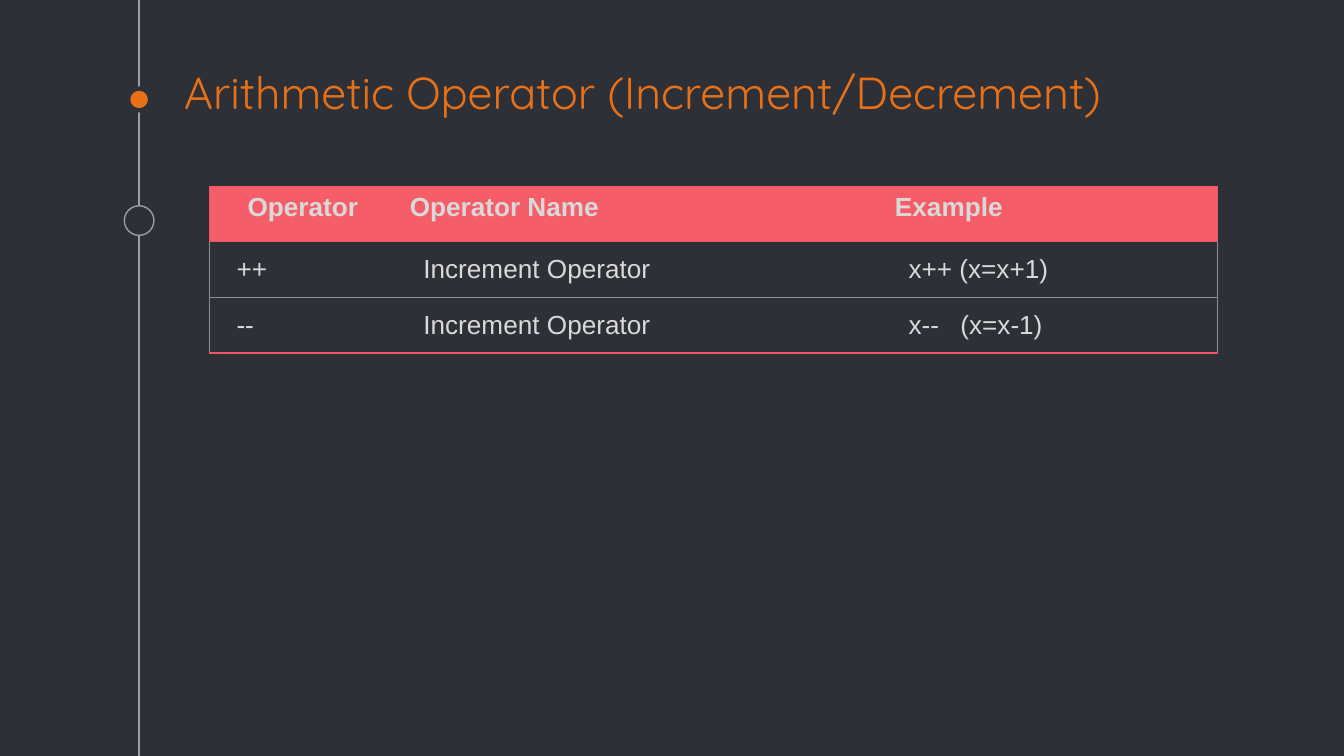
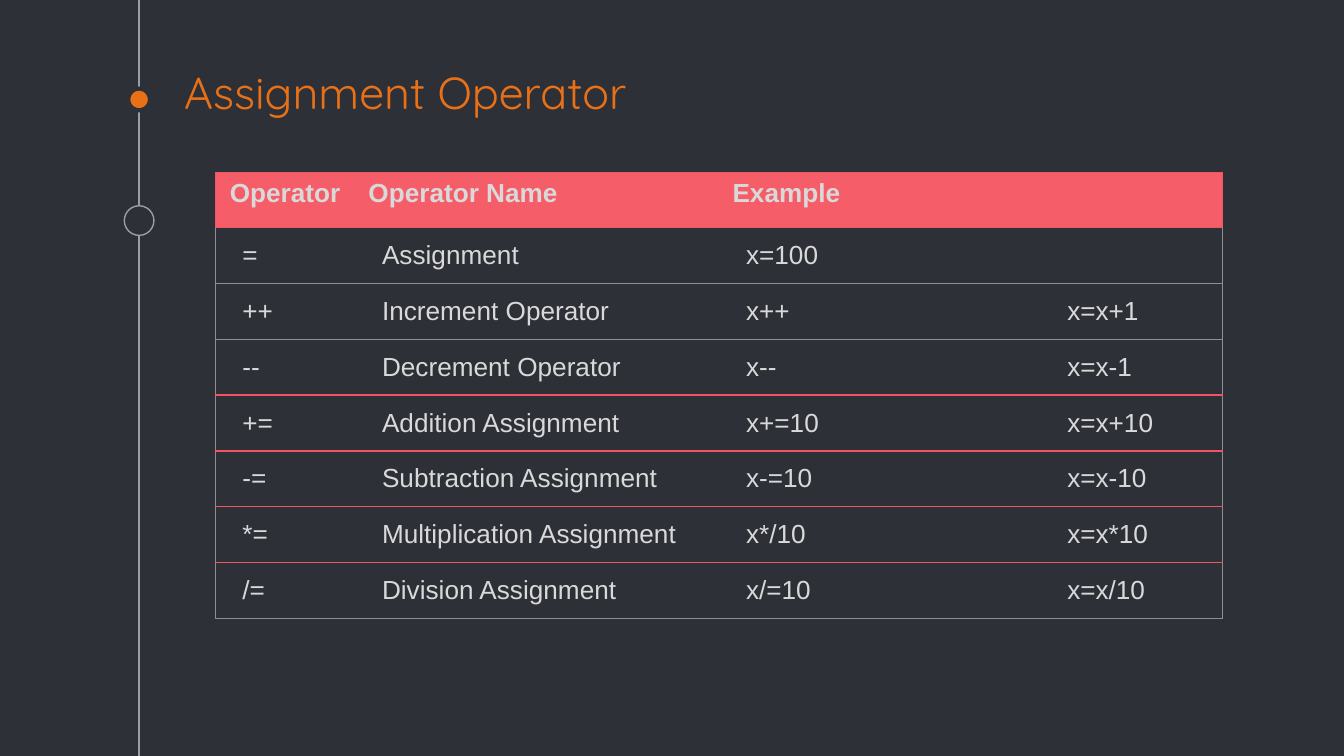
from dataclasses import dataclass

from lxml.etree import SubElement
from pptx import Presentation
from pptx.dml.color import RGBColor
from pptx.enum.shapes import MSO_CONNECTOR, MSO_SHAPE
from pptx.enum.text import MSO_ANCHOR, MSO_AUTO_SIZE, PP_ALIGN
from pptx.oxml import parse_xml
from pptx.oxml.ns import nsdecls, qn
from pptx.util import Cm, Pt

BACKGROUND = "2E3037"
ORANGE = "E87118"
GREY = "999FA9"
RULE_GREY = "8E8E91"
RULE_RED = "F15564"
HEADER_RED = "F55D69"
TEXT = "D9D9D9"

SLIDE_WIDTH, SLIDE_HEIGHT = 25.4, 14.29
TIMELINE_X = 2.63
ROW_HEIGHT = 1.04
RULE_WIDTH = 0.75
PLAIN_TABLE_STYLE = "{2D5ABB26-0587-4C30-8999-92F81FD0307C}"


@dataclass(frozen=True)
class Marker:
    center_y: float
    diameter: float
    fill: str
    line: str
    line_width: float


@dataclass(frozen=True)
class OperatorSlide:
    title: str
    left: float
    top: float
    column_widths: tuple[float, ...]
    rows: tuple[tuple[str, ...], ...]
    grey_rules: frozenset[int]


MARKERS = (
    Marker(1.88, 0.41, ORANGE, BACKGROUND, 2.25),
    Marker(4.17, 0.56, BACKGROUND, GREY, 0.75),
)

OPERATOR_SLIDES = (
    OperatorSlide(
        "Arithmetic Operator (Increment/Decrement)",
        3.96, 3.52, (3.53, 9.17, 6.35),
        (
            ("Operator", "Operator Name", "Example"),
            ("++", "Increment Operator", "x++ (x=x+1)"),
            ("--", "Increment Operator", "x--\t(x=x-1)"),
        ),
        frozenset({1}),
    ),
    OperatorSlide(
        "Assignment Operator",
        4.07, 3.26, (2.64, 6.88, 6.07, 3.45),
        (
            ("Operator", "Operator Name", "Example", ""),
            ("=", "Assignment", "x=100", ""),
            ("++", "Increment Operator", "x++", "x=x+1"),
            ("--", "Decrement Operator", "x--", "x=x-1"),
            ("+=", "Addition Assignment", "x+=10", "x=x+10"),
            ("-=", "Subtraction Assignment", "x-=10", "x=x-10"),
            ("*=", "Multiplication Assignment", "x*/10", "x=x*10"),
            ("/=", "Division Assignment", "x/=10", "x=x/10"),
        ),
        frozenset({1, 2, 7}),
    ),
)


def color(value: str) -> RGBColor:
    return RGBColor.from_string(value)


def add_run(paragraph, text: str, font_name: str, size: float, hex_color: str, bold: bool = False) -> None:
    run = paragraph.add_run()
    run.text = text
    run.font.name = font_name
    run.font.size = Pt(size)
    run.font.bold = bold
    run.font.color.rgb = color(hex_color)


def add_timeline(slide) -> None:
    line = slide.shapes.add_connector(
        MSO_CONNECTOR.STRAIGHT, Cm(TIMELINE_X), Cm(0), Cm(TIMELINE_X), Cm(SLIDE_HEIGHT)
    )
    line.line.color.rgb = color(GREY)
    line.line.width = Pt(0.75)
    SubElement(line._element.spPr, qn("a:effectLst"))
    for marker in MARKERS:
        radius = marker.diameter / 2
        circle = slide.shapes.add_shape(
            MSO_SHAPE.OVAL, Cm(TIMELINE_X - radius), Cm(marker.center_y - radius),
            Cm(marker.diameter), Cm(marker.diameter),
        )
        circle.shadow.inherit = False
        circle.fill.solid()
        circle.fill.fore_color.rgb = color(marker.fill)
        circle.line.color.rgb = color(marker.line)
        circle.line.width = Pt(marker.line_width)


def format_title(slide, text: str) -> None:
    title = slide.shapes.title
    title.left, title.top, title.width, title.height = Cm(3.23), Cm(1.52), Cm(21.97), Cm(0.97)
    frame = title.text_frame
    frame.auto_size = MSO_AUTO_SIZE.NONE
    frame.word_wrap = True
    frame.vertical_anchor = MSO_ANCHOR.BOTTOM
    frame.margin_left = frame.margin_right = frame.margin_top = frame.margin_bottom = Cm(0.25)
    paragraph = frame.paragraphs[0]
    paragraph.alignment = PP_ALIGN.LEFT
    add_run(paragraph, text, "Quicksand", 24, ORANGE)


def set_borders(cell, borders: dict[str, str | None]) -> None:
    properties = cell._tc.get_or_add_tcPr()
    for position, side in enumerate("LRTB"):
        hex_color = borders[side]
        paint = f'<a:solidFill><a:srgbClr val="{hex_color}"/></a:solidFill>' if hex_color else "<a:noFill/>"
        width = Pt(RULE_WIDTH) if hex_color else 0
        properties.insert(
            position, parse_xml(f'<a:ln{side} {nsdecls("a")} w="{width}">{paint}</a:ln{side}>')
        )


def fill_cell(cell, text: str, is_header: bool, is_first: bool) -> None:
    if is_header:
        cell.fill.solid()
        cell.fill.fore_color.rgb = color(HEADER_RED)
    else:
        cell.fill.background()
    if not text:
        return
    paragraph = cell.text_frame.paragraphs[0]
    if is_header:
        paragraph.alignment = PP_ALIGN.CENTER if is_first else PP_ALIGN.LEFT
    else:
        cell.vertical_anchor = MSO_ANCHOR.MIDDLE
        cell.margin_left = cell.margin_right = Cm(0.51)
        cell.margin_top = cell.margin_bottom = Cm(0.25)
    if "\t" in text:
        tabs = SubElement(paragraph._p.get_or_add_pPr(), qn("a:tabLst"))
        SubElement(tabs, qn("a:tab"), pos=str(Cm(0.98)), algn="l")
    add_run(paragraph, text, "Arial", 14, TEXT, bold=is_header)


def add_operator_table(slide, content: OperatorSlide) -> None:
    row_count, column_count = len(content.rows), len(content.column_widths)
    frame = slide.shapes.add_table(
        row_count, column_count, Cm(content.left), Cm(content.top),
        Cm(sum(content.column_widths)), Cm(ROW_HEIGHT * row_count),
    )
    table = frame.table
    table.first_row = table.horz_banding = False
    table._tbl.tblPr.find(qn("a:tableStyleId")).text = PLAIN_TABLE_STYLE
    for column, width in zip(table.columns, content.column_widths):
        column.width = Cm(width)
    rules = [RULE_GREY if row in content.grey_rules else RULE_RED for row in range(row_count)]
    for row, texts in enumerate(content.rows):
        table.rows[row].height = Cm(ROW_HEIGHT)
        side_color = RULE_GREY if row else RULE_RED
        for column, text in enumerate(texts):
            cell = table.cell(row, column)
            fill_cell(cell, text, row == 0, column == 0)
            set_borders(cell, {
                "L": side_color if column == 0 else None,
                "R": side_color if column == column_count - 1 else None,
                "T": rules[row - 1] if row else RULE_RED,
                "B": rules[row],
            })


def main() -> None:
    presentation = Presentation()
    presentation.slide_width = Cm(SLIDE_WIDTH)
    presentation.slide_height = Cm(SLIDE_HEIGHT)
    background = presentation.slide_master.background.fill
    background.solid()
    background.fore_color.rgb = color(BACKGROUND)
    title_only = presentation.slide_layouts[5]
    for content in OPERATOR_SLIDES:
        slide = presentation.slides.add_slide(title_only)
        add_timeline(slide)
        format_title(slide, content.title)
        add_operator_table(slide, content)
    presentation.save("out.pptx")


if __name__ == "__main__":
    main()
